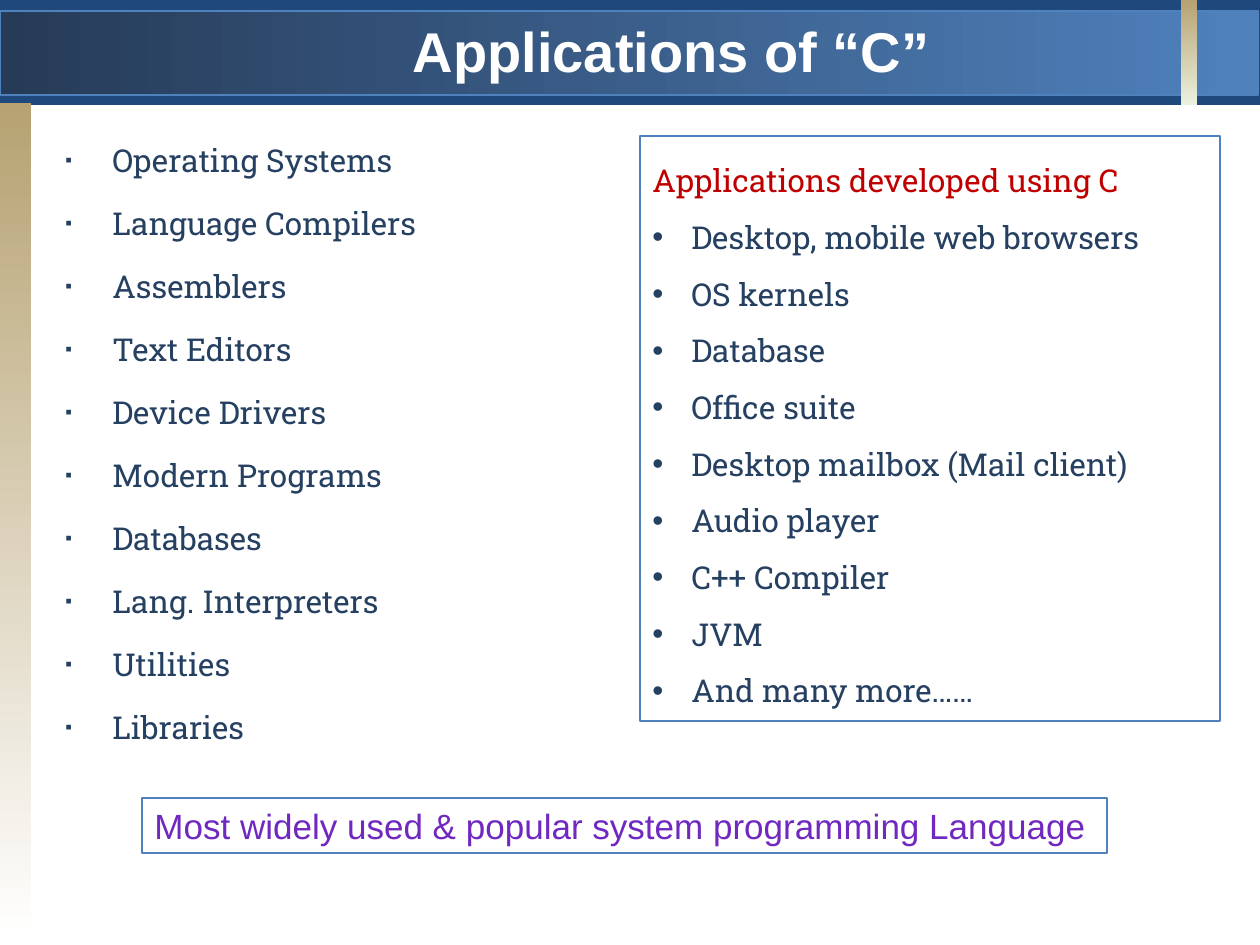
from pptx import Presentation
from pptx.dml.color import RGBColor
from pptx.enum.shapes import MSO_SHAPE
from pptx.enum.text import MSO_ANCHOR, PP_ALIGN
from pptx.oxml.ns import qn
from pptx.util import Emu, Pt
from lxml.etree import SubElement

PX = 914400 // 126
NAVY = RGBColor(0x1F, 0x49, 0x7D)
DEEP = RGBColor(0x26, 0x3B, 0x57)
BLUE = RGBColor(0x4F, 0x81, 0xBD)
SAND = RGBColor(0xB6, 0xA2, 0x72)
CREAM = RGBColor(0xEB, 0xF1, 0xDE)
WHITE = RGBColor(0xFF, 0xFF, 0xFF)
INK = RGBColor(0x25, 0x40, 0x61)
RED = RGBColor(0xC0, 0x00, 0x00)
PURPLE = RGBColor(0x70, 0x28, 0xC0)

TITLE_FONT = dict(name="Arial", size=Pt(32), bold=True)
LIST_FONT = dict(name="Roboto Slab", size=Pt(18))
CLAIM_FONT = dict(name="Arial", size=Pt(20))

USES = ["Operating Systems", "Language Compilers", "Assemblers", "Text Editors",
        "Device Drivers", "Modern Programs", "Databases", "Lang. Interpreters",
        "Utilities", "Libraries"]
PRODUCTS = ["Desktop, mobile web browsers", "OS kernels", "Database", "Office suite",
            "Desktop mailbox (Mail client)", "Audio player", "C++ Compiler", "JVM",
            "And many more……"]


def px(*lengths):
    return [Emu(length * PX) for length in lengths]


def set_all(target, values):
    for key, value in values.items():
        setattr(target, key, value)


def add_panel(slide, box, colors=(), angle=0, outline=None):
    """Rectangle with no fill, one colour or a two-colour gradient."""
    panel = slide.shapes.add_shape(MSO_SHAPE.RECTANGLE, *px(*box))
    panel.shadow.inherit = False
    if len(colors) == 2:
        panel.fill.gradient()
        panel.fill.gradient_angle = angle
        for stop, color, position in zip(panel.fill.gradient_stops, colors, (0, 1)):
            stop.position = position
            stop.color.rgb = color
    elif colors:
        panel.fill.solid()
        panel.fill.fore_color.rgb = colors[0]
    else:
        panel.fill.background()
    if outline:
        panel.line.color.rgb = outline
        panel.line.width = Pt(0.75)
    else:
        panel.line.fill.background()
    return panel


def add_bullet(paragraph, mark, indent, percent):
    props = paragraph._p.get_or_add_pPr()
    props.set("marL", str(indent * PX))
    props.set("indent", str(-indent * PX))
    SubElement(props, qn("a:buSzPct"), val=str(percent * 1000))
    SubElement(props, qn("a:buFont"), typeface="Arial")
    SubElement(props, qn("a:buChar"), char=mark)


def write_lines(frame, lines, font, color, layout, bullet=None):
    """Write each line as a paragraph, after any text already there."""
    for line in lines:
        paragraph = frame.add_paragraph() if frame.text else frame.paragraphs[0]
        set_all(paragraph, layout)
        if bullet:
            add_bullet(paragraph, *bullet)
        run = paragraph.add_run()
        run.text = line
        set_all(run.font, font)
        run.font.color.rgb = color


def add_header(slide, box):
    left, top, width, height = box
    add_panel(slide, box, [NAVY])
    add_panel(slide, (left, top + 11, width - 2, height - 21), [DEEP, BLUE], outline=BLUE)
    add_panel(slide, (left + 1181, top, 16, height), [SAND, CREAM], 270)
    title = slide.shapes.add_textbox(*px(left + 199, top + 10, 945, 73)).text_frame
    set_all(title, dict(word_wrap=True, margin_top=px(7)[0], margin_bottom=0))
    write_lines(title, ["Applications of “C”"], TITLE_FONT, WHITE,
                dict(alignment=PP_ALIGN.CENTER))


def add_uses(slide, box):
    uses = slide.shapes.add_textbox(*px(*box)).text_frame
    uses.word_wrap = True
    layout = dict(alignment=PP_ALIGN.JUSTIFY, line_spacing=1.5, space_before=Pt(3.6))
    write_lines(uses, USES, LIST_FONT, INK, layout, ("▪", 47, 60))


def add_products(slide, box):
    products = add_panel(slide, box, outline=BLUE).text_frame
    set_all(products, dict(word_wrap=True, vertical_anchor=MSO_ANCHOR.TOP))
    layout = dict(alignment=PP_ALIGN.LEFT, line_spacing=1.5)
    write_lines(products, ["Applications developed using C"], LIST_FONT, RED, layout)
    write_lines(products, PRODUCTS, LIST_FONT, INK, layout, ("•", 39, 100))


def add_claim(slide, box):
    claim = add_panel(slide, box, outline=BLUE).text_frame
    set_all(claim, dict(word_wrap=True, vertical_anchor=MSO_ANCHOR.MIDDLE))
    write_lines(claim, ["Most widely used & popular system programming Language"],
                CLAIM_FONT, PURPLE, dict(alignment=PP_ALIGN.LEFT))


def main():
    deck = Presentation()
    set_all(deck, dict(zip(("slide_width", "slide_height"), px(1260, 945))))
    slide = deck.slides.add_slide(deck.slide_layouts[6])
    add_header(slide, (0, 0, 1260, 105))
    add_panel(slide, (0, 103, 31, 837), [SAND, WHITE], 270)
    add_uses(slide, (53, 116, 1187, 693))
    add_claim(slide, (142, 798, 965, 55))
    add_products(slide, (640, 136, 580, 585))
    deck.save("out.pptx")


if __name__ == "__main__":
    main()
